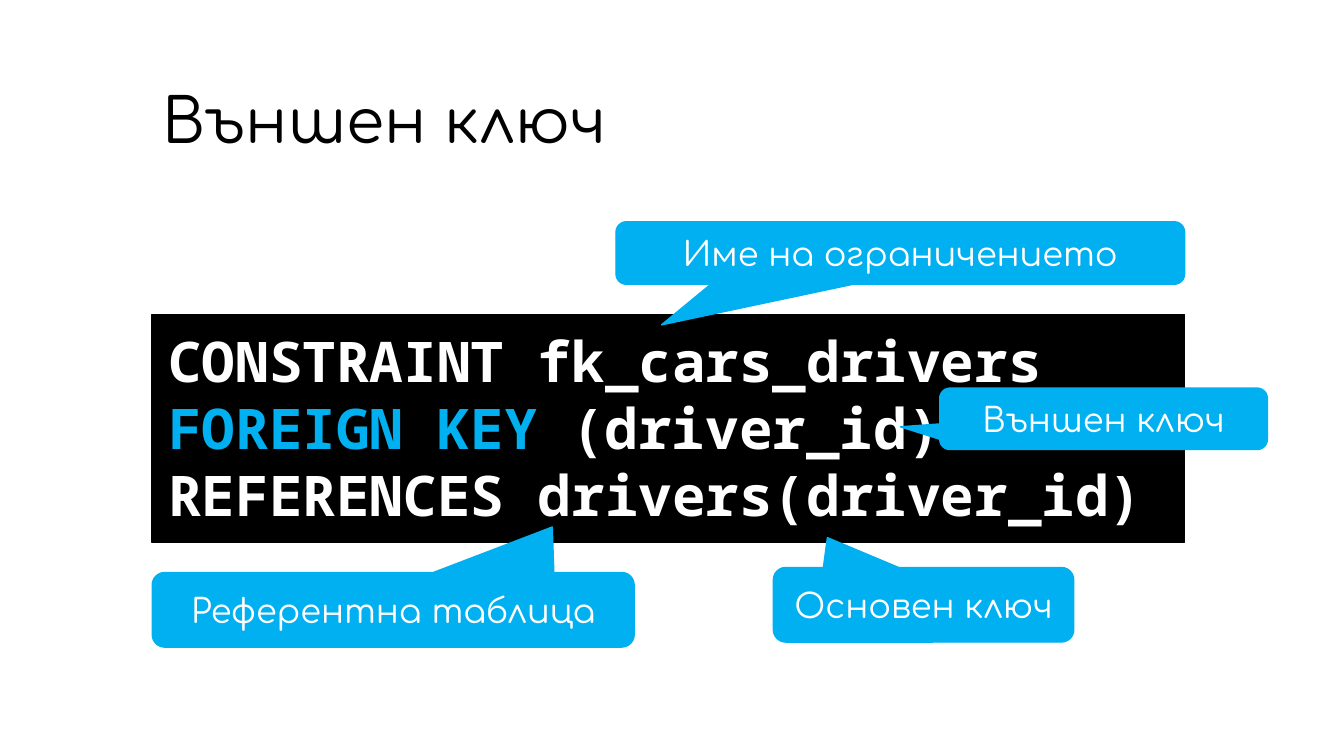
import pptx
import pptx.util
import pptx.dml.color
import pptx.enum.shapes
import pptx.enum.text

PX = 9144
BLACK = pptx.dml.color.RGBColor(0x00, 0x00, 0x00)
WHITE = pptx.dml.color.RGBColor(0xFF, 0xFF, 0xFF)
BLUE = pptx.dml.color.RGBColor(0x00, 0xB0, 0xF0)
SHAPE = pptx.enum.shapes.MSO_SHAPE
ALIGN = pptx.enum.text.PP_ALIGN
ANCHOR = pptx.enum.text.MSO_ANCHOR

TITLE = (151, 50, 1024, 145)
CODE = (151, 312, 1024, 226)
LINES = [
    [("CONSTRAINT fk_cars_drivers", WHITE)],
    [("FOREIGN KEY ", BLUE), ("(driver_id)", WHITE)],
    [("REFERENCES drivers(driver_id)", WHITE)],
]
NOTES = [
    ("Основен ключ", (767, 563, 298, 74), (-0.32, -0.9)),
    ("Външен ключ", (932, 385, 325, 61), (-0.62, 0.13)),
    ("Име на ограничението", (611, 220, 564, 62), (-0.42, 1.15)),
    ("Референтна таблица", (151, 568, 478, 74), (0.33, -1.11)),
]


def scale(box):
    return [n * PX for n in box]


def style(font, face, size, color=None, bold=False):
    font.name = face
    font.size = pptx.util.Pt(size)
    font.bold = bold
    if color is not None:
        font.color.rgb = color


def add_block(slide, kind, box, color):
    shape = slide.shapes.add_shape(kind, *scale(box))
    shape.shadow.inherit = False
    shape.fill.solid()
    shape.fill.fore_color.rgb = color
    shape.line.color.rgb = color
    shape.line.width = pptx.util.Pt(1)
    shape.text_frame.word_wrap = True
    return shape


def add_title(slide, box, text):
    frame = slide.shapes.add_textbox(*scale(box)).text_frame
    frame.word_wrap = True
    frame.vertical_anchor = ANCHOR.MIDDLE
    para = frame.paragraphs[0]
    para.text = text
    para.line_spacing = 0.9
    style(para.font, "Comfortaa", 44, BLACK)


def add_code(slide, box, lines):
    frame = add_block(slide, SHAPE.RECTANGLE, box, BLACK).text_frame
    frame.vertical_anchor = ANCHOR.TOP
    frame.margin_left = frame.margin_right = 16 * PX
    frame.margin_top = frame.margin_bottom = 12 * PX
    for row, line in enumerate(lines):
        para = frame.add_paragraph() if row else frame.paragraphs[0]
        para.alignment = ALIGN.LEFT
        style(para.font, "Noto Sans Mono", 40, bold=True)
        for text, color in line:
            run = para.add_run()
            run.text = text
            run.font.color.rgb = color


def add_note(slide, box, text, tip):
    shape = add_block(slide, SHAPE.ROUNDED_RECTANGULAR_CALLOUT, box, BLUE)
    shape.adjustments[0], shape.adjustments[1] = tip
    shape.text_frame.vertical_anchor = ANCHOR.MIDDLE
    para = shape.text_frame.paragraphs[0]
    para.text = text
    para.alignment = ALIGN.CENTER
    style(para.font, "Comfortaa", 24, WHITE)


def main():
    deck = pptx.Presentation()
    deck.slide_width, deck.slide_height = scale((1333, 750))
    slide = deck.slides.add_slide(deck.slide_layouts[6])
    add_code(slide, CODE, LINES)
    add_title(slide, TITLE, "Външен ключ")
    for text, box, tip in NOTES:
        add_note(slide, box, text, tip)
    deck.save("out.pptx")


if __name__ == "__main__":
    main()
